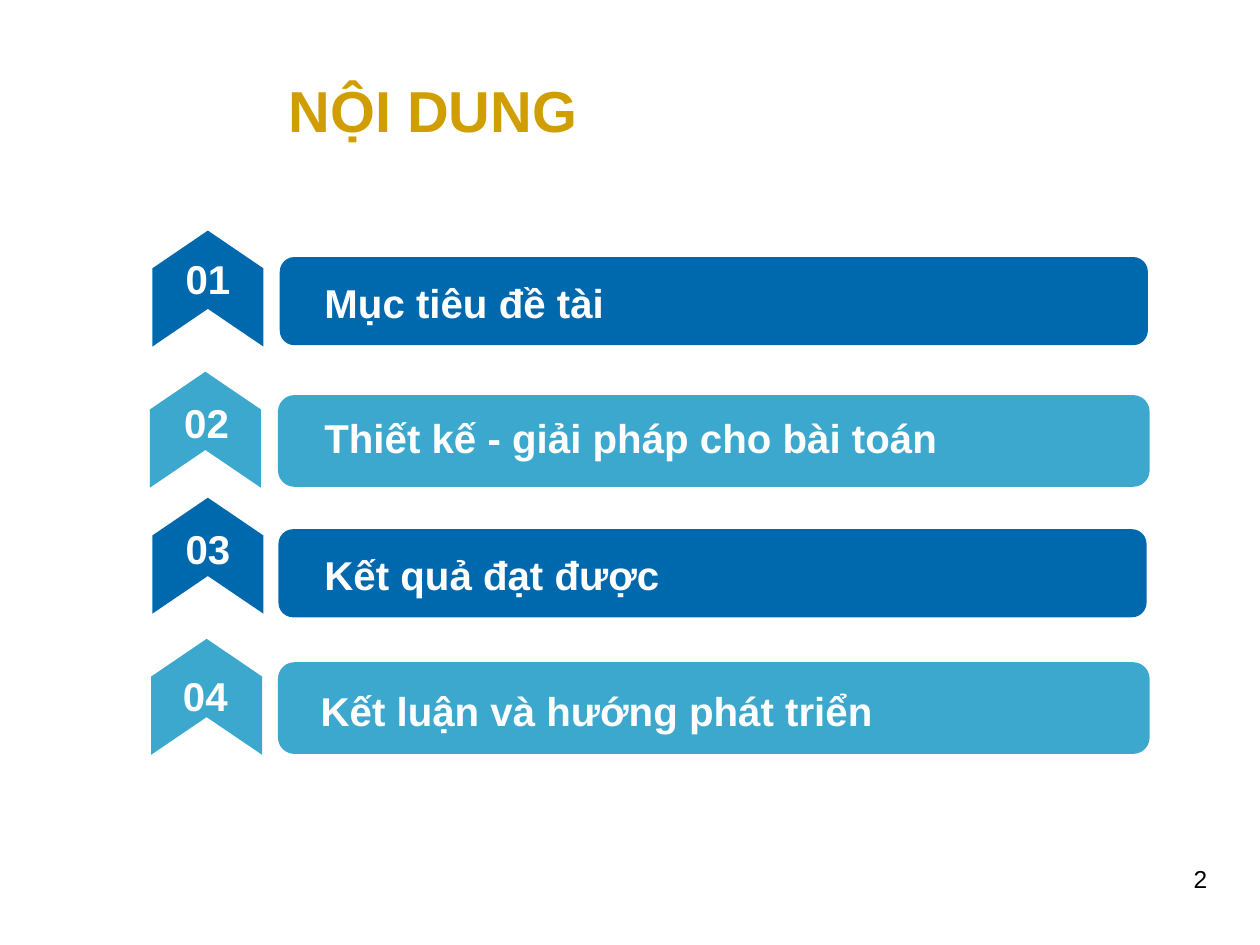
from typing import NamedTuple

from pptx import Presentation
from pptx.dml.color import RGBColor
from pptx.enum.shapes import MSO_SHAPE
from pptx.enum.text import MSO_ANCHOR, PP_ALIGN
from pptx.util import Inches, Pt

ROUND, CHEVRON = MSO_SHAPE.ROUNDED_RECTANGLE, MSO_SHAPE.CHEVRON
LEFT, CENTER, RIGHT = PP_ALIGN.LEFT, PP_ALIGN.CENTER, PP_ALIGN.RIGHT
TOP, MIDDLE = MSO_ANCHOR.TOP, MSO_ANCHOR.MIDDLE

BLUE = RGBColor(0x00, 0x69, 0xAD)
SKY = RGBColor(0x3C, 0xA8, 0xCE)
GOLD = RGBColor(0xD0, 0x9E, 0x00)
WHITE = RGBColor(0xFF, 0xFF, 0xFF)
BLACK = RGBColor(0x00, 0x00, 0x00)


class Box(NamedTuple):
    x: float
    y: float
    w: float
    h: float

    def frame(self):
        return [Inches(n) for n in self]


class Item(NamedTuple):
    text: str
    color: RGBColor
    edge: bool
    bar: Box
    label: Box
    arrow: Box
    number: Box


ITEMS = [
    Item("Mục tiêu đề tài", BLUE, False, Box(2.22, 2.04, 6.89, 0.7),
         Box(2.45, 2.12, 6.34, 0.56), Box(1.19, 1.85, 0.92, 0.88),
         Box(1.34, 1.96, 0.62, 0.5)),
    Item("Thiết kế - giải pháp cho bài toán", SKY, True,
         Box(2.22, 3.15, 6.89, 0.7), Box(2.45, 3.2, 6.68, 0.54),
         Box(1.17, 2.97, 0.92, 0.88), Box(1.33, 3.1, 0.62, 0.5)),
    Item("Kết quả đạt được", BLUE, False, Box(2.21, 4.2, 6.89, 0.7),
         Box(2.45, 4.29, 6.34, 0.54), Box(1.19, 3.97, 0.92, 0.88),
         Box(1.34, 4.1, 0.62, 0.5)),
    Item("Kết luận và hướng phát triển", SKY, True,
         Box(2.22, 5.27, 6.89, 0.7), Box(2.42, 5.37, 6.34, 0.54),
         Box(1.18, 5.09, 0.92, 0.88), Box(1.32, 5.27, 0.62, 0.5)),
]


def add_form(slide, kind: MSO_SHAPE, box: Box, color: RGBColor | None = None):
    """Add a flat shape without an outline; no color means no fill."""
    form = slide.shapes.add_shape(kind, *box.frame())
    form.shadow.inherit = False
    if color is None:
        form.fill.background()
    else:
        form.fill.solid()
        form.fill.fore_color.rgb = color
    form.line.fill.background()
    return form


def write(shape, text: str, size: int, color: RGBColor, align: PP_ALIGN,
          anchor: MSO_ANCHOR = MIDDLE, bold: bool = True) -> None:
    frame = shape.text_frame
    frame.word_wrap = True
    frame.vertical_anchor = anchor
    line = frame.paragraphs[0]
    line.alignment = align
    run = line.add_run()
    run.text = text
    run.font.name = "Arial"
    run.font.size = Pt(size)
    run.font.bold = bold
    run.font.color.rgb = color


def add_item(slide, rank: int, item: Item) -> None:
    bar = add_form(slide, ROUND, item.bar, item.color)
    if item.edge:
        bar.line.color.rgb = item.color
        bar.line.width = Pt(2)
    label = add_form(slide, ROUND, item.label)
    write(label, item.text, 23, WHITE, LEFT)
    arrow = add_form(slide, CHEVRON, item.arrow, item.color)
    arrow.adjustments[0] = 0.34
    arrow.rotation = 270
    number = slide.shapes.add_textbox(*item.number.frame())
    write(number, f"{rank:02}", 23, WHITE, CENTER)


def main() -> None:
    deck = Presentation()
    deck.slide_width, deck.slide_height = Inches(10), Inches(7.5)
    slide = deck.slides.add_slide(deck.slide_layouts[6])
    for rank, item in enumerate(ITEMS, 1):
        add_item(slide, rank, item)
    title = slide.shapes.add_textbox(*Box(1.99, 0.54, 3.6, 0.66).frame())
    title.text_frame.margin_left = Inches(0.3)
    write(title, "NỘI DUNG", 33, GOLD, LEFT)
    page = slide.shapes.add_textbox(*Box(7.35, 6.81, 2.33, 0.6).frame())
    write(page, "2", 14, BLACK, RIGHT, TOP, False)
    deck.save("out.pptx")


if __name__ == "__main__":
    main()
